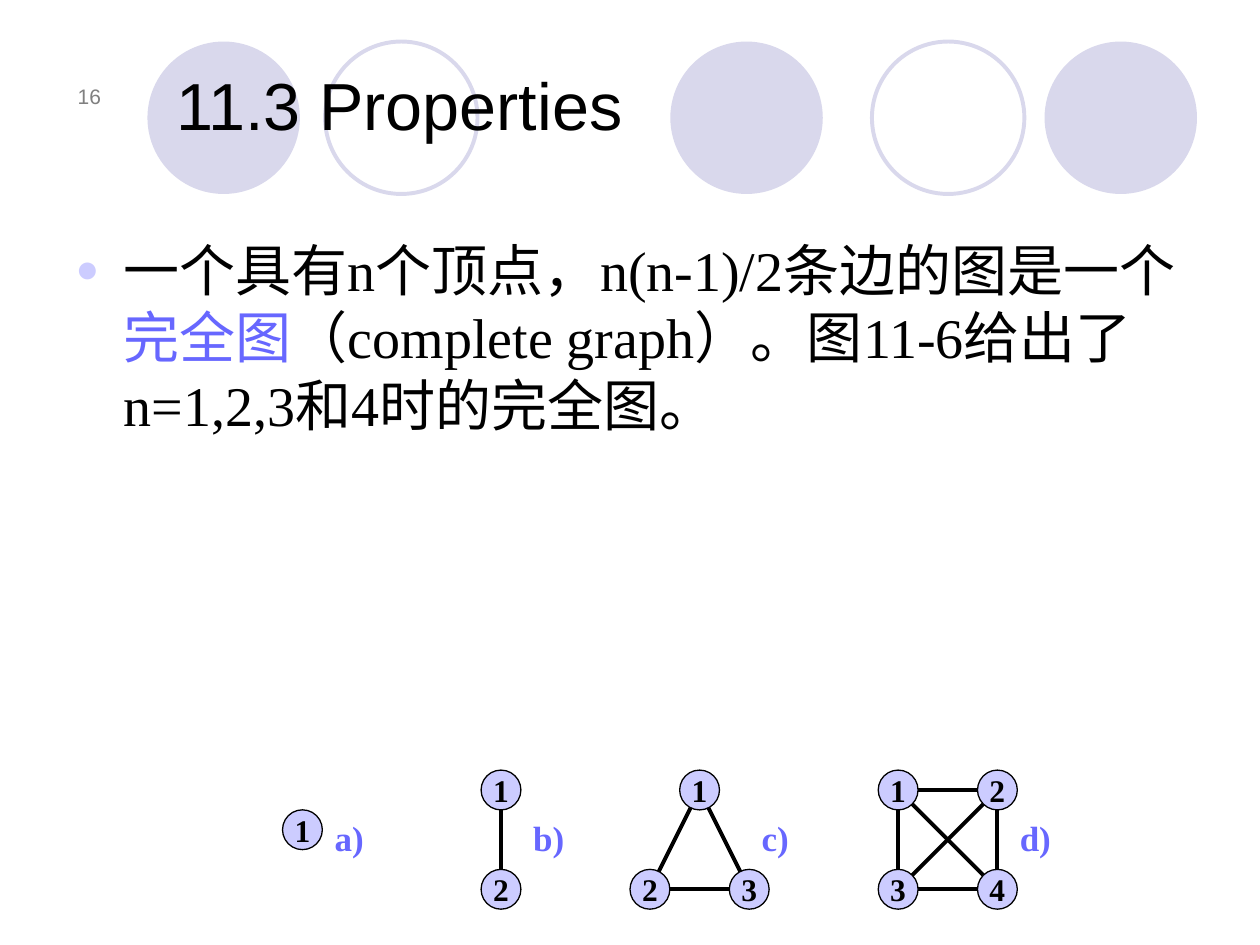
from dataclasses import dataclass
from itertools import combinations
from math import hypot
from typing import Any

from lxml import etree
from pptx import Presentation
from pptx.dml.color import RGBColor
from pptx.enum.shapes import MSO_CONNECTOR, MSO_SHAPE
from pptx.enum.text import MSO_ANCHOR, MSO_AUTO_SIZE, PP_ALIGN
from pptx.oxml.ns import qn
from pptx.util import Inches, Pt

OVAL = MSO_SHAPE.OVAL
STRAIGHT = MSO_CONNECTOR.STRAIGHT
LEFT, CENTER, RIGHT = PP_ALIGN.LEFT, PP_ALIGN.CENTER, PP_ALIGN.RIGHT
TOP, MIDDLE, BOTTOM = MSO_ANCHOR.TOP, MSO_ANCHOR.MIDDLE, MSO_ANCHOR.BOTTOM
NO_FIT = MSO_AUTO_SIZE.NONE

COLORS = {
    "ink": "000000",
    "accent": "6767FF",
    "node": "CCCCFF",
    "ring": "D9D8EC",
    "number": "808080",
}
SANS, SERIF = "Arial", "Times New Roman"

COLUMNS, ROWS = 100, 75
GRAPH_LEFT, GRAPH_TOP = 24, 62.7
STEP = 3.94
RADIUS = 1.58

CIRCLES = [(53.2, True), (82.9, True), (11.7, True), (69.2, False), (25.8, False)]
GRAPHS = [
    ("a)", 0.4, [(0, 0.8)]),
    ("b)", 4.4, [(4, 0), (4, 2)]),
    ("c)", 9, [(8, 0), (7, 2), (9, 2)]),
    ("d)", 14.2, [(12, 0), (14, 0), (12, 2), (14, 2)]),
]


def color(name):
    return RGBColor.from_string(COLORS[name])


@dataclass
class SlideBuilder:
    deck: Any
    page: Any

    def x(self, columns):
        return round(self.deck.slide_width * columns / COLUMNS)

    def y(self, rows):
        return round(self.deck.slide_height * rows / ROWS)

    def area(self, left, top, width, height):
        return self.x(left), self.y(top), self.x(width), self.y(height)

    def add_text(self, frame, spans, size, font, align=LEFT, anchor=TOP, bold=False):
        frame.auto_size = NO_FIT
        frame.vertical_anchor = anchor
        para = frame.paragraphs[0]
        para.alignment = align
        for text, tint in spans:
            span = para.add_run()
            span.text = text
            span.font.size = Pt(size)
            span.font.name = font
            span.font.bold = bold
            span.font.color.rgb = color(tint)
        return para

    def placeholder(self, index, area, spans, size, font, anchor=TOP):
        box = self.page.placeholders[index]
        box.left, box.top, box.width, box.height = self.area(*area)
        return self.add_text(box.text_frame, spans, size, font, anchor=anchor)

    def bullet(self, para, symbol, tint, percent):
        props = para._p.get_or_add_pPr()
        props.set("marL", str(Inches(0.38)))
        props.set("indent", str(-Inches(0.38)))
        shade = etree.SubElement(props, qn("a:buClr"))
        etree.SubElement(shade, qn("a:srgbClr"), val=COLORS[tint])
        etree.SubElement(props, qn("a:buSzPct"), val=str(percent * 1000))
        etree.SubElement(props, qn("a:buFont"), typeface=SANS)
        etree.SubElement(props, qn("a:buChar"), char=symbol)

    def label(self, area, text, tint, size, font, **style):
        box = self.page.shapes.add_textbox(*self.area(*area))
        box.text_frame.word_wrap = True
        self.add_text(box.text_frame, [(text, tint)], size, font, **style)

    def circle(self, left, top, diameter, fill=None, line=None, weight=1):
        area = self.area(left, top, diameter, diameter)
        shape = self.page.shapes.add_shape(OVAL, *area)
        shape.shadow.inherit = False
        if fill:
            shape.fill.solid()
            shape.fill.fore_color.rgb = color(fill)
        else:
            shape.fill.background()
        if line:
            shape.line.color.rgb = color(line)
            shape.line.width = Pt(weight)
        else:
            shape.line.fill.background()
        return shape

    def backdrop(self, left, filled):
        paint = {"fill": "ring"} if filled else {"line": "ring", "weight": 2.25}
        return self.circle(left, 3.3, 12.1, **paint)

    def node(self, center, text):
        left, top = center[0] - RADIUS, center[1] - RADIUS
        shape = self.circle(left, top, 2 * RADIUS, "node", "ink", 0.75)
        frame = shape.text_frame
        frame.word_wrap = False
        frame.margin_left = frame.margin_right = 0
        frame.margin_top = frame.margin_bottom = 0
        self.add_text(frame, [(text, "ink")], 18, SERIF, CENTER, MIDDLE, True)

    def edge(self, start, end):
        dx, dy = end[0] - start[0], end[1] - start[1]
        on_rim = 0 in (dx, dy) or abs(dx) == abs(dy)
        trim = RADIUS / (STEP * hypot(dx, dy)) if on_rim else 0
        ends = []
        for share in (trim, 1 - trim):
            column, row = graph_point(start[0] + dx * share, start[1] + dy * share)
            ends += [self.x(column), self.y(row)]
        line = self.page.shapes.add_connector(STRAIGHT, *ends)
        line.line.color.rgb = color("ink")
        line.line.width = Pt(2.25)
        etree.SubElement(line._element.spPr, qn("a:effectLst"))

    def complete_graph(self, caption, caption_column, nodes):
        for start, end in combinations(nodes, 2):
            self.edge(start, end)
        for number, spot in enumerate(nodes, 1):
            self.node(graph_point(*spot), str(number))
        left, top = graph_point(caption_column, 0.4)
        self.label((left, top, 5.5, 4.3), caption, "accent", 20, SERIF, bold=True)


def graph_point(column, row):
    return GRAPH_LEFT + STEP * column, GRAPH_TOP + STEP * row


def main():
    deck = Presentation()
    deck.slide_width, deck.slide_height = Inches(10), Inches(7.5)
    page = deck.slides.add_slide(deck.slide_layouts[1])
    builder = SlideBuilder(deck, page)

    for order, (left, filled) in enumerate(CIRCLES):
        shape = builder.backdrop(left, filled)
        page.shapes._spTree.insert(2 + order, shape._element)

    builder.label((3.5, 4.4, 5.5, 4.7), "16", "number", 12, SANS,
                  align=RIGHT, anchor=BOTTOM)
    builder.placeholder(0, (13, 4.4, 85.9, 7.5), [("11.3 Properties", "ink")],
                        38, SANS, BOTTOM)
    para = builder.placeholder(1, (5, 18.2, 90, 43.7), [
        ("一个具有n个顶点，n(n-1)/2条边的图是一个", "ink"),
        ("完全图", "accent"),
        ("（complete graph）。图11-6给出了n=1,2,3和4时的完全图。", "ink"),
    ], 32, SERIF)
    builder.bullet(para, "●", "node", 70)

    for graph in GRAPHS:
        builder.complete_graph(*graph)

    deck.save("out.pptx")


if __name__ == "__main__":
    main()
